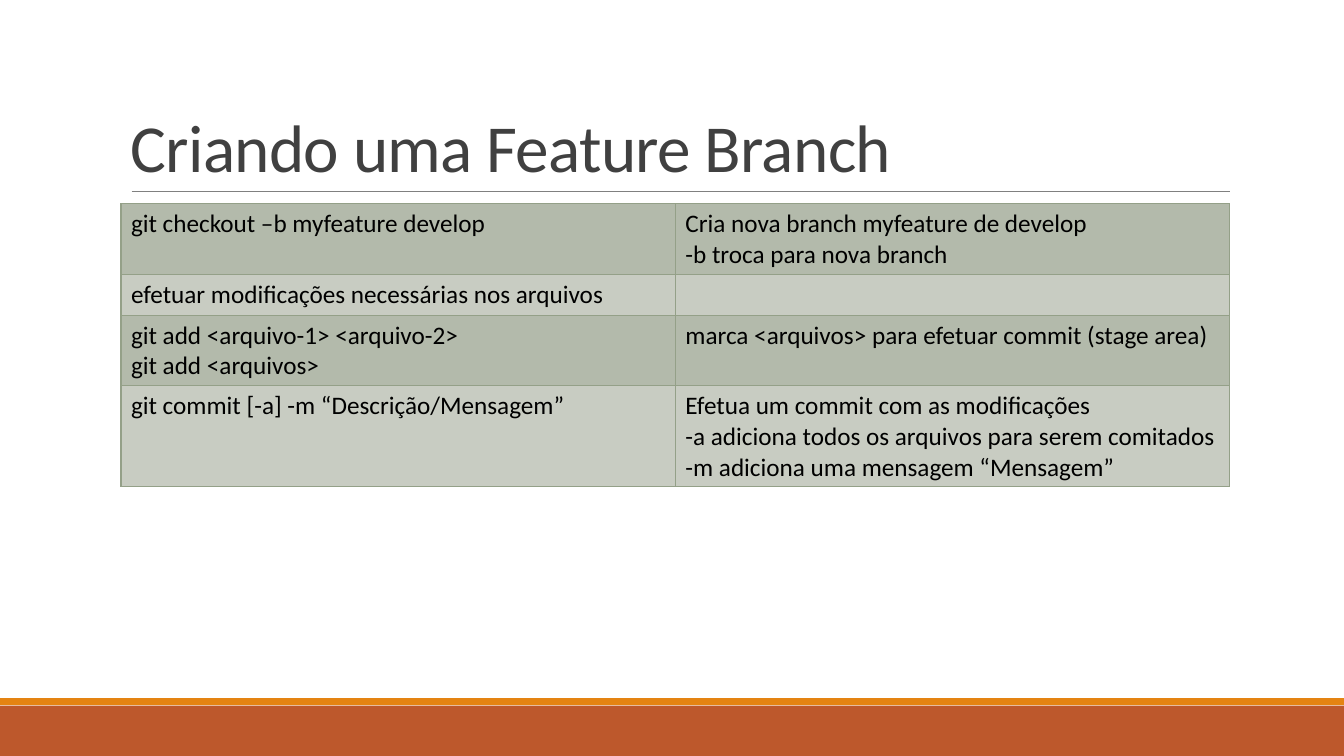
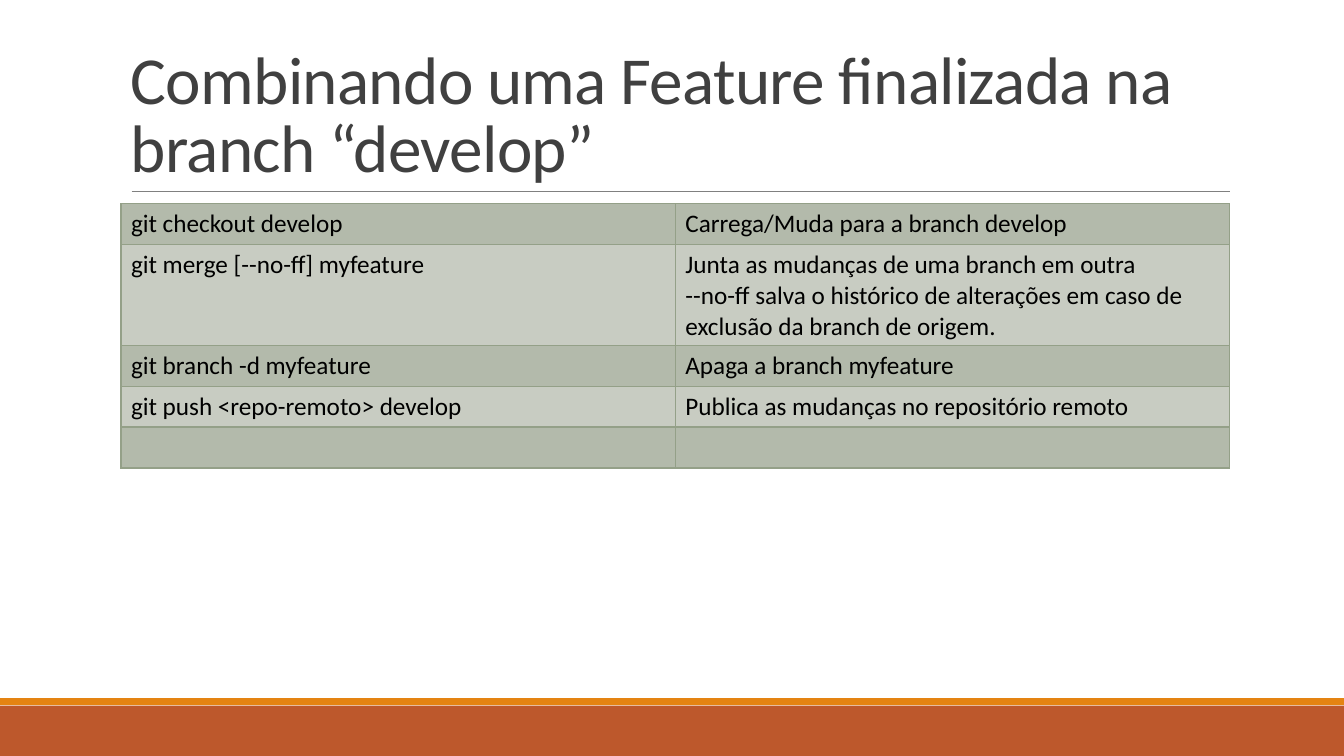
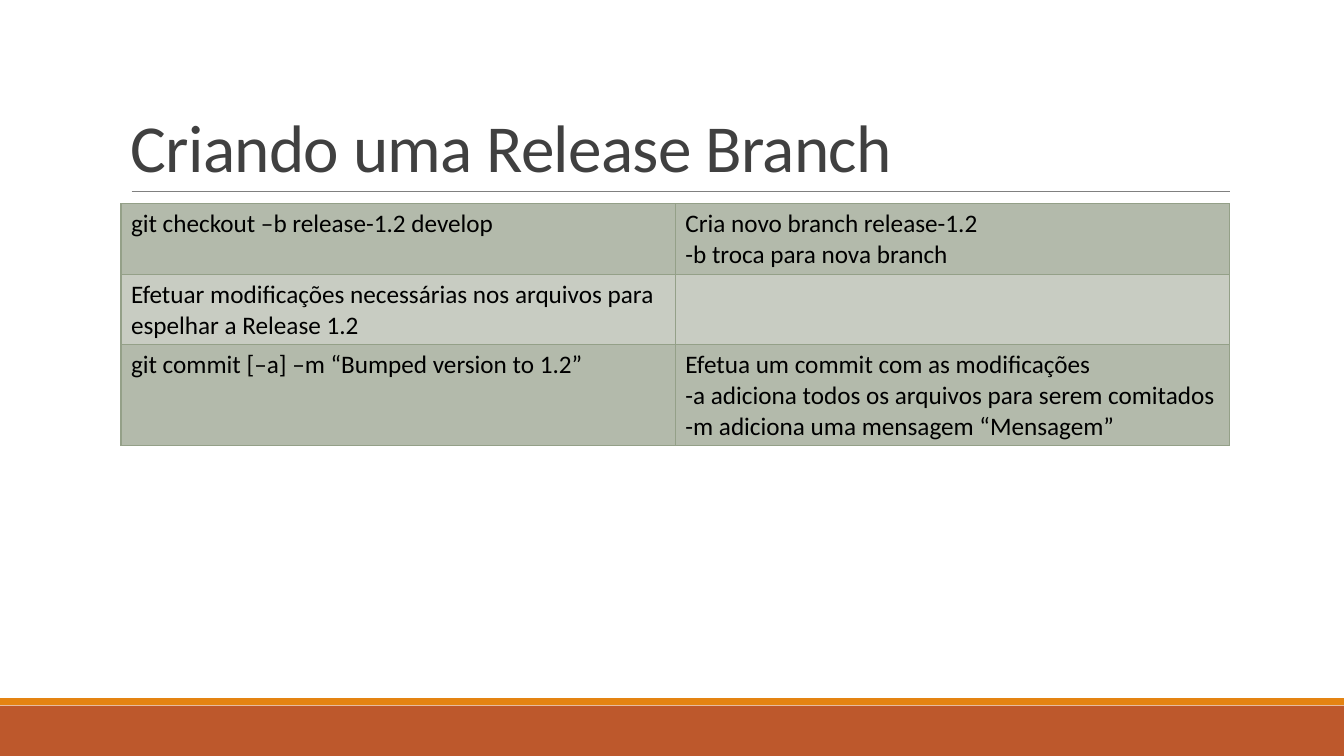
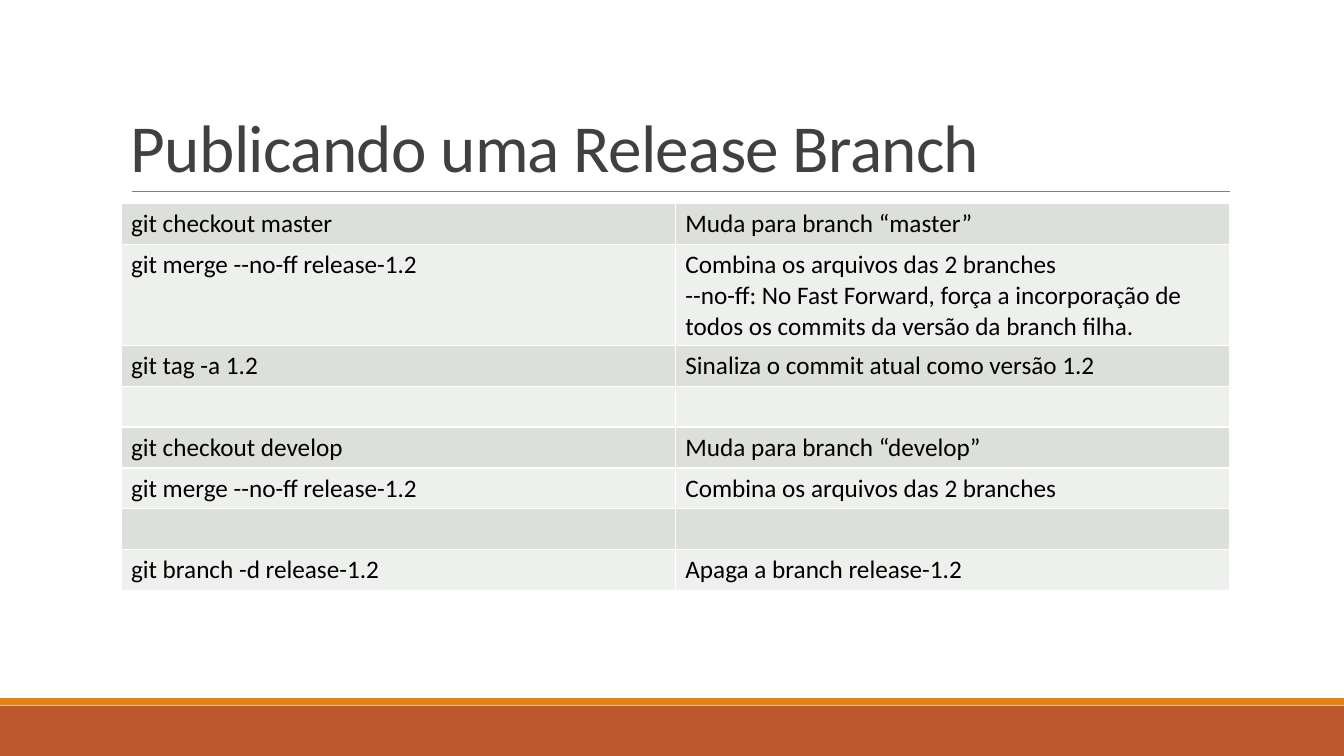
from lxml.etree import SubElement
from pptx import Presentation
from pptx.dml.color import RGBColor
from pptx.enum.shapes import MSO_CONNECTOR as Connector, MSO_SHAPE as Shape
from pptx.enum.text import MSO_ANCHOR as Anchor
from pptx.oxml.ns import qn
from pptx.util import Pt

SLIDE_W, SLIDE_H = 960, 540
LEFT, WIDTH = 86.4, 792
TABLE_TOP, ROW_H = 145.44, 29.2
BANDS = [(504, 36, "BD582C"), (498.77, 5.04, "E48312")]
RULE = {"x1": 94.1, "x2": 878.9, "y": 136.85, "color": "808080"}
TITLE = {"name": "Calibri", "size": Pt(48)}
TITLE_COLOR = "404040"
BODY = {"name": "Calibri", "size": Pt(18)}
BODY_COLOR = "000000"

GREEN = {"rows": ("B3BAAB", "C8CCC2"), "border": "94A088"}
PALE = {"rows": ("DCDFDA", "EEF0ED"), "border": "FFFFFF"}

COMMIT_NOTES = """Efetua um commit com as modificações
-a adiciona todos os arquivos para serem comitados
-m adiciona uma mensagem “Mensagem”"""

SLIDES = [
    ("Criando uma Feature Branch", GREEN, [
        ("git checkout –b myfeature develop",
         "Cria nova branch myfeature de develop\n-b troca para nova branch"),
        ("efetuar modificações necessárias nos arquivos", ""),
        ("git add <arquivo-1> <arquivo-2>\ngit add <arquivos>",
         "marca <arquivos> para efetuar commit (stage area)"),
        ("git commit [-a] -m “Descrição/Mensagem”", COMMIT_NOTES),
    ]),
    ("Combinando uma Feature finalizada na branch “develop”", GREEN, [
        ("git checkout develop", "Carrega/Muda para a branch develop"),
        ("git merge [--no-ff] myfeature",
         "Junta as mudanças de uma branch em outra\n"
         "--no-ff salva o histórico de alterações em caso de exclusão da branch de origem."),
        ("git branch -d myfeature", "Apaga a branch myfeature"),
        ("git push <repo-remoto> develop", "Publica as mudanças no repositório remoto"),
        ("", ""),
    ]),
    ("Criando uma Release Branch", GREEN, [
        ("git checkout –b release-1.2 develop",
         "Cria novo branch release-1.2\n-b troca para nova branch"),
        ("Efetuar modificações necessárias nos arquivos para espelhar a Release 1.2", ""),
        ("git commit [–a] –m “Bumped version to 1.2”", COMMIT_NOTES),
    ]),
    ("Publicando uma Release Branch", PALE, [
        ("git checkout master", "Muda para branch “master”"),
        ("git merge --no-ff release-1.2",
         "Combina os arquivos das 2 branches\n"
         "--no-ff: No Fast Forward, força a incorporação de todos os commits da versão da branch filha."),
        ("git tag -a 1.2", "Sinaliza o commit atual como versão 1.2"),
        ("", ""),
        ("git checkout develop", "Muda para branch “develop”"),
        ("git merge --no-ff release-1.2", "Combina os arquivos das 2 branches"),
        ("", ""),
        ("git branch -d release-1.2", "Apaga a branch release-1.2"),
    ]),
]


def rgb(value):
    return RGBColor.from_string(value)


def add_run(p, text, style, color):
    r = p.add_run()
    r.text = text
    for key, value in style.items():
        setattr(r.font, key, value)
    r.font.color.rgb = rgb(color)
    return r


def add_frame(s):
    for top, height, color in BANDS:
        sp = s.shapes.add_shape(Shape.RECTANGLE, 0, Pt(top), Pt(SLIDE_W), Pt(height))
        sp.shadow.inherit = False
        sp.fill.solid()
        sp.fill.fore_color.rgb = rgb(color)
        sp.line.fill.background()
    y = Pt(RULE["y"])
    rule = s.shapes.add_connector(Connector.STRAIGHT, Pt(RULE["x1"]), y, Pt(RULE["x2"]), y)
    rule.line.width = Pt(0.5)
    rule.line.color.rgb = rgb(RULE["color"])
    SubElement(rule._element.spPr, qn("a:effectLst"))


def add_title(s, text):
    tf = s.shapes.add_textbox(Pt(LEFT), Pt(22.6), Pt(WIDTH), Pt(114.2)).text_frame
    tf.word_wrap = True
    tf.vertical_anchor = Anchor.BOTTOM
    p = tf.paragraphs[0]
    p.line_spacing = 0.85
    r = add_run(p, text, TITLE, TITLE_COLOR)
    r._r.get_or_add_rPr().set("spc", "-50")


def set_borders(cell, color):
    tcPr = cell._tc.get_or_add_tcPr()
    for side in ("lnL", "lnR", "lnT", "lnB"):
        ln = SubElement(tcPr, qn(f"a:{side}"), w=str(Pt(1)))
        fill = SubElement(ln, qn("a:solidFill"))
        SubElement(fill, qn("a:srgbClr"), val=color)


def fill_cell(cell, text, fill, border):
    set_borders(cell, border)
    cell.fill.solid()
    cell.fill.fore_color.rgb = rgb(fill)
    tf = cell.text_frame
    for i, line in enumerate(text.splitlines()):
        p = tf.add_paragraph() if i else tf.paragraphs[0]
        add_run(p, line, BODY, BODY_COLOR)


def add_commands(s, rows, palette):
    table = s.shapes.add_table(len(rows), 2, Pt(LEFT), Pt(TABLE_TOP),
                               Pt(WIDTH), Pt(ROW_H * len(rows))).table
    table.first_row = table.horz_banding = False
    for i, row in enumerate(rows):
        table.rows[i].height = Pt(ROW_H)
        for j, text in enumerate(row):
            fill_cell(table.cell(i, j), text, palette["rows"][i % 2], palette["border"])


def main():
    prs = Presentation()
    prs.slide_width, prs.slide_height = Pt(SLIDE_W), Pt(SLIDE_H)
    for title, palette, rows in SLIDES:
        s = prs.slides.add_slide(prs.slide_layouts[6])
        add_frame(s)
        add_title(s, title)
        add_commands(s, rows, palette)
    prs.save("out.pptx")


if __name__ == "__main__":
    main()
